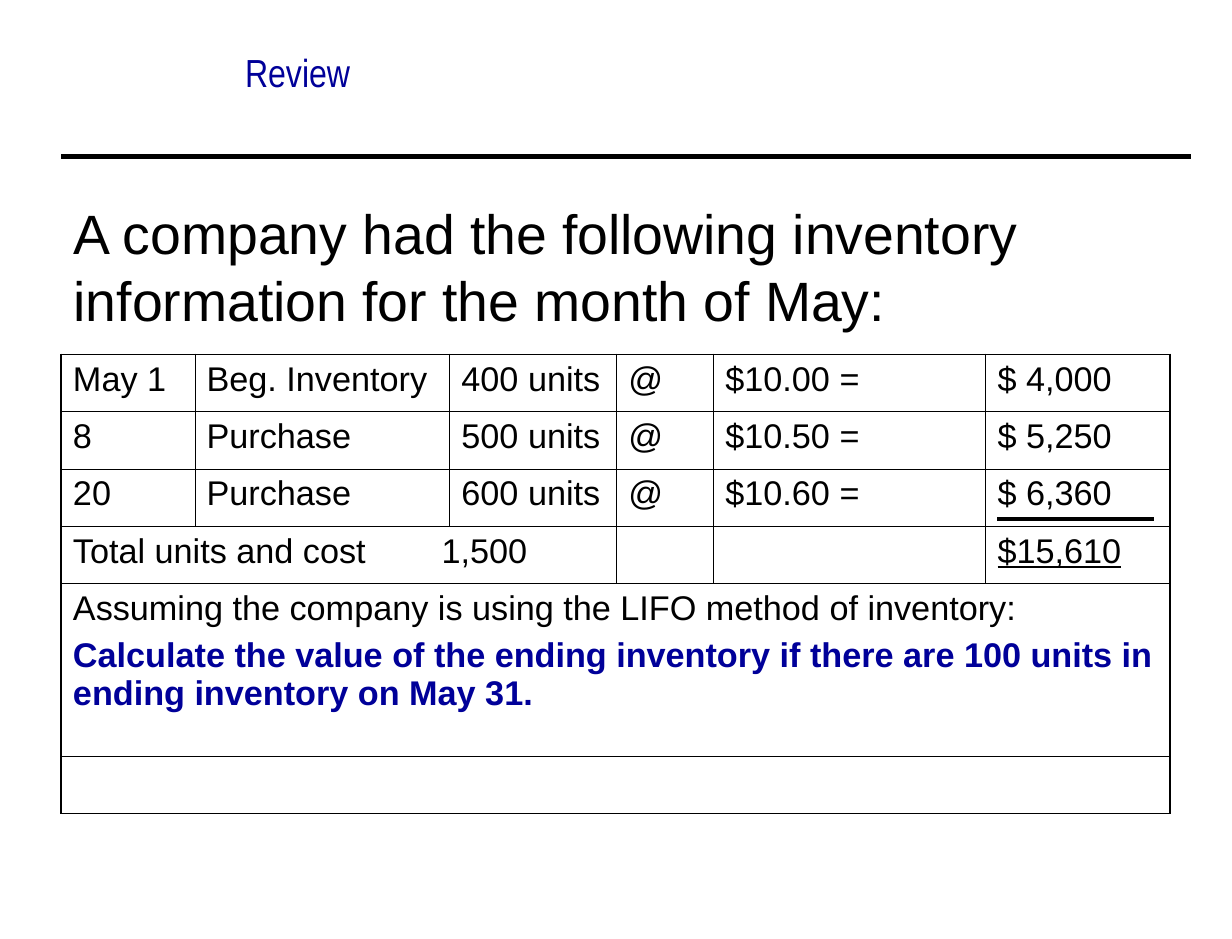
from lxml.etree import SubElement
from pptx import Presentation
from pptx.dml.color import RGBColor
from pptx.enum.shapes import MSO_CONNECTOR
from pptx.enum.text import MSO_ANCHOR, PP_ALIGN
from pptx.oxml import parse_xml
from pptx.oxml.ns import nsdecls, qn
from pptx.util import Pt

BLACK = RGBColor(0x00, 0x00, 0x00)
NAVY = RGBColor(0x00, 0x00, 0x99)

HEADER = "Review"
TITLE = "A company had the following inventory information for the month of May:"
ROWS = [
    ["May 1", "Beg. Inventory", "400 units", "@", "$10.00 =", "$ 4,000"],
    ["8", "Purchase", "500 units", "@", "$10.50 =", "$ 5,250"],
    ["20", "Purchase", "600 units", "@", "$10.60 =", "$ 6,360"],
    ["Total units and cost\t1,500", "", "", "", "", "$15,610"],
    ["Assuming the company is using the LIFO method of inventory:"],
    [],
]
TASK = ("Calculate the value of the ending inventory if there are 100 units "
        "in ending inventory on May 31.")
MERGES = [(3, 2), (4, 5), (5, 5)]
COL_WIDTHS = [82, 156.4, 102.4, 59.6, 167, 113]
ROW_HEIGHTS = [35.2, 35.2, 35.2, 35.2, 105.8, 35.2]
LEFT, WIDTH, TABLE_TOP = 37.6, 680.4, 217.4
INNER, OUTER = 0.45, 1.08
TOTAL_TAB = 226.2
NO_STYLE = "{2D5ABB26-0587-4C30-8999-92F81FD0307C}"


def write(p, text, size=21, font="Arial", color=BLACK, bold=False,
          underline=False, align=PP_ALIGN.LEFT, before=0):
    p.alignment = align
    p.space_before = Pt(before)
    r = p.add_run()
    r.text = text
    r.font.size = Pt(size)
    r.font.name = font
    r.font.color.rgb = color
    r.font.bold = bold
    r.font.underline = underline


def add_box(s, x, y, w, h, text, inset=7.2, anchor=MSO_ANCHOR.TOP, **fmt):
    tf = s.shapes.add_textbox(Pt(x), Pt(y), Pt(w), Pt(h)).text_frame
    tf.word_wrap = True
    tf.vertical_anchor = anchor
    tf.margin_left = tf.margin_right = Pt(inset)
    tf.margin_top = tf.margin_bottom = Pt(3.6)
    write(tf.paragraphs[0], text, **fmt)


def add_rule(s, x1, x2, y, weight):
    line = s.shapes.add_connector(MSO_CONNECTOR.STRAIGHT, Pt(x1), Pt(y), Pt(x2), Pt(y))
    line.line.color.rgb = BLACK
    line.line.width = Pt(weight)
    SubElement(line._element.spPr, qn("a:effectLst"))


def set_borders(cell, widths):
    tc_pr = cell._tc.get_or_add_tcPr()
    for i, (side, weight) in enumerate(widths.items()):
        tc_pr.insert(i, parse_xml(
            f'<a:ln{side} {nsdecls("a")} w="{Pt(weight)}"><a:solidFill>'
            f'<a:srgbClr val="{BLACK}"/></a:solidFill></a:ln{side}>'))


def add_inventory_table(s):
    n_rows, n_cols = len(ROW_HEIGHTS), len(COL_WIDTHS)
    frame = s.shapes.add_table(n_rows, n_cols, Pt(LEFT), Pt(TABLE_TOP),
                               Pt(sum(COL_WIDTHS)), Pt(sum(ROW_HEIGHTS)))
    table = frame.table
    table.first_row = table.horz_banding = False
    table._tbl.tblPr.find(qn("a:tableStyleId")).text = NO_STYLE
    for col, w in zip(table.columns, COL_WIDTHS):
        col.width = Pt(w)
    for row, h in zip(table.rows, ROW_HEIGHTS):
        row.height = Pt(h)
    for r, last in MERGES:
        table.cell(r, 0).merge(table.cell(r, last))

    for r in range(n_rows):
        for c in range(n_cols):
            cell = table.cell(r, c)
            cell.fill.background()
            cell.margin_left = cell.margin_right = Pt(7.2)
            cell.margin_top = cell.margin_bottom = Pt(3.6)
            end = c + cell.span_width if cell.is_merge_origin else c + 1
            widths = {}
            if not cell.is_spanned:
                widths["L"] = INNER if c else OUTER
            if not cell.is_spanned or end == n_cols or not table.cell(r, end).is_spanned:
                widths["R"] = OUTER if end == n_cols else INNER
            if r < n_rows - 1:
                widths["T"] = INNER if r else OUTER
            if r != n_rows - 2:
                widths["B"] = OUTER if r == n_rows - 1 else INNER
            set_borders(cell, widths)

    for r, texts in enumerate(ROWS):
        for c, text in enumerate(texts):
            if text:
                write(table.cell(r, c).text_frame.paragraphs[0], text, before=5.2,
                      underline=(r, c) == (3, 5))
    tabs = SubElement(table.cell(3, 0).text_frame.paragraphs[0]._p.get_or_add_pPr(),
                      qn("a:tabLst"))
    SubElement(tabs, qn("a:tab"), pos=str(Pt(TOTAL_TAB)), algn="l")
    write(table.cell(4, 0).text_frame.add_paragraph(), TASK, color=NAVY,
          bold=True, before=5.2)


def main():
    prs = Presentation()
    prs.slide_width, prs.slide_height = Pt(756), Pt(576)
    s = prs.slides.add_slide(prs.slide_layouts[6])
    add_box(s, LEFT, 26, 290, 62, HEADER, size=24, font="Arial Narrow",
            color=NAVY, align=PP_ALIGN.CENTER)
    add_rule(s, LEFT, 731, 96, 3)
    add_box(s, LEFT, 115.2, WIDTH, 95.8, TITLE, inset=7.6,
            anchor=MSO_ANCHOR.MIDDLE, size=34)
    add_inventory_table(s)
    add_rule(s, 612, 708, 318.2, 2.25)
    prs.save("out.pptx")


if __name__ == "__main__":
    main()
